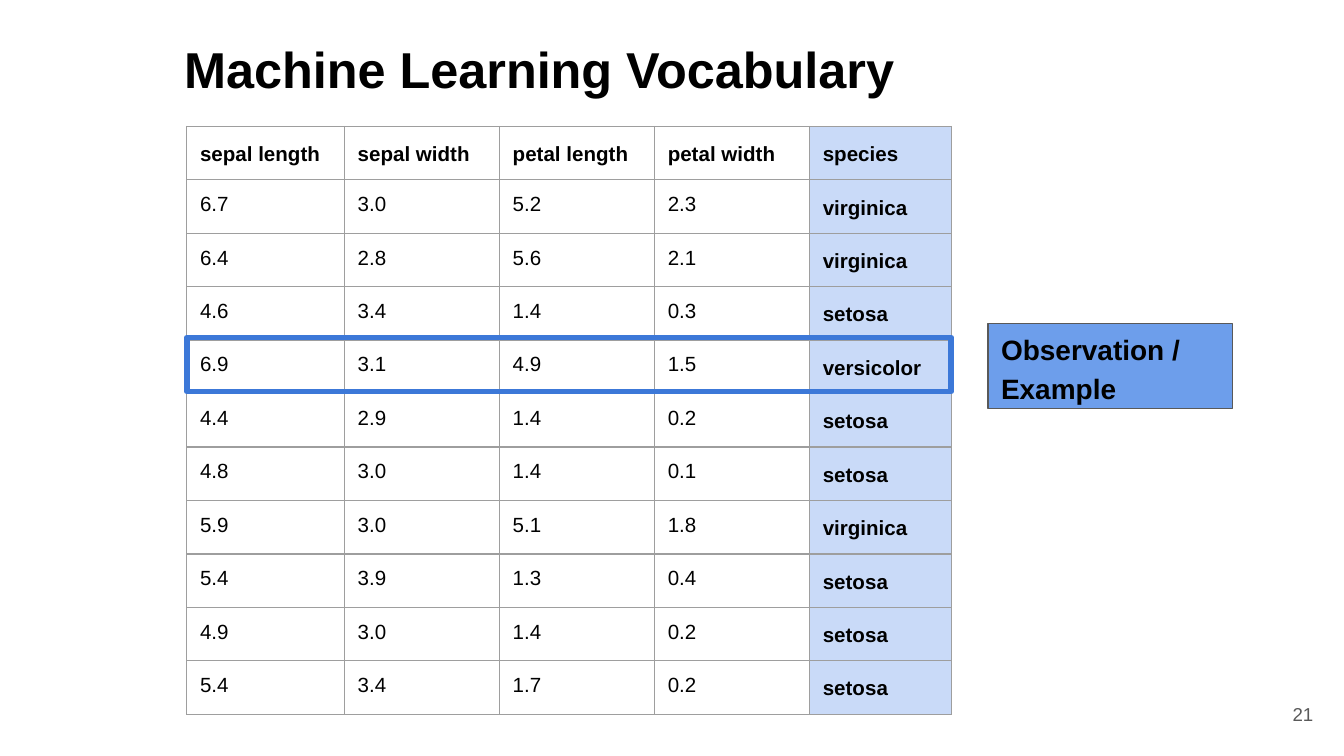
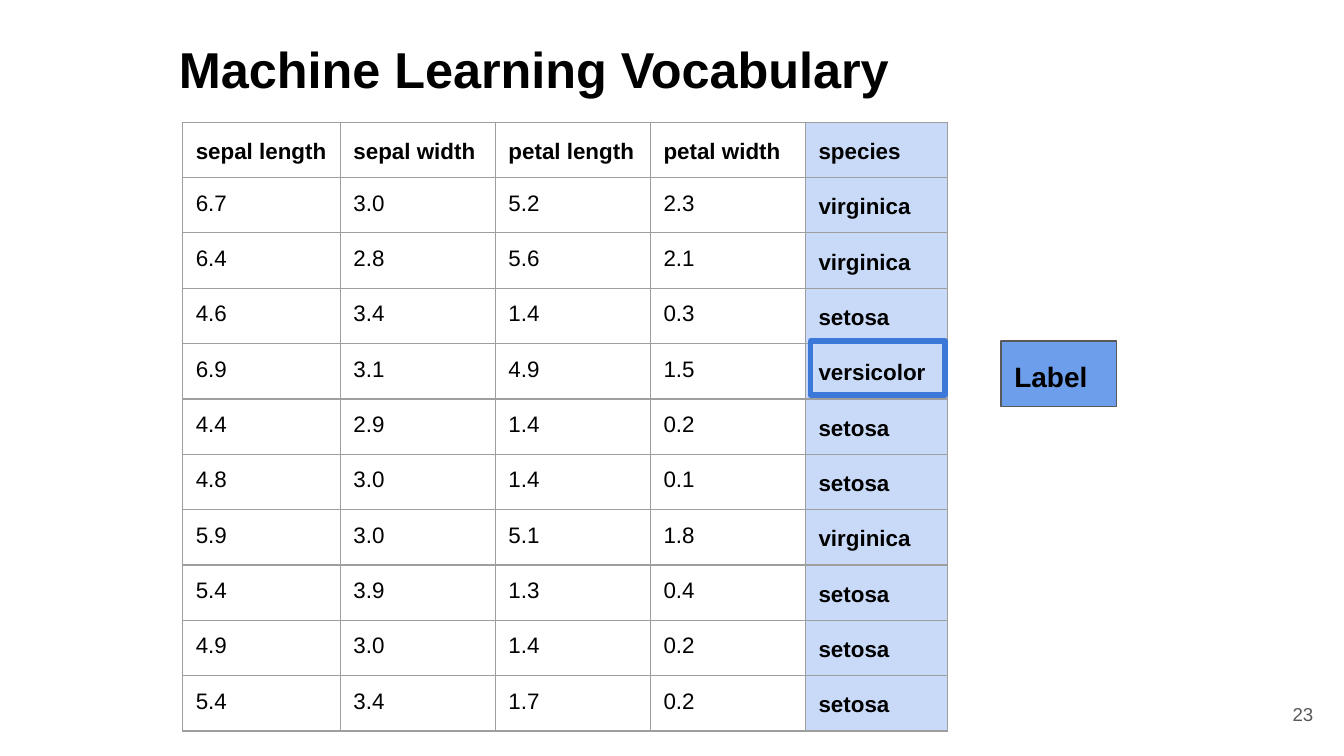
from dataclasses import dataclass

from lxml.etree import SubElement
from pptx import Presentation
from pptx.dml.color import RGBColor
from pptx.enum.shapes import MSO_SHAPE as Shape
from pptx.enum.text import MSO_ANCHOR as Anchor, MSO_AUTO_SIZE as AutoSize, PP_ALIGN as Align
from pptx.oxml.ns import qn
from pptx.util import Cm, Pt

FONT = "Arial"
COLORS = {
    "text": "000000",
    "grid": "9E9E9E",
    "species": "C9DAF8",
    "callout": "6D9EEB",
    "muted": "595959",
    "highlight": "3C78D8",
}
INSET = Cm(0.25)
COL_WIDTHS = (2.98, 2.93, 2.93, 2.93, 2.68)
HEADERS = ("sepal length", "sepal width", "petal length", "petal width", "species")
SAMPLES = (
    ("6.7", "3.0", "5.2", "2.3", "virginica"),
    ("6.4", "2.8", "5.6", "2.1", "virginica"),
    ("4.6", "3.4", "1.4", "0.3", "setosa"),
    ("6.9", "3.1", "4.9", "1.5", "versicolor"),
    ("4.4", "2.9", "1.4", "0.2", "setosa"),
    ("4.8", "3.0", "1.4", "0.1", "setosa"),
    ("5.9", "3.0", "5.1", "1.8", "virginica"),
    ("5.4", "3.9", "1.3", "0.4", "setosa"),
    ("4.9", "3.0", "1.4", "0.2", "setosa"),
    ("5.4", "3.4", "1.7", "0.2", "setosa"),
)


@dataclass(frozen=True)
class Box:
    """Place and size in centimetres."""
    left: float
    top: float
    width: float
    height: float

    def lengths(self) -> tuple:
        return Cm(self.left), Cm(self.top), Cm(self.width), Cm(self.height)


@dataclass(frozen=True)
class VocabularySlide:
    term: str
    number: str
    title: Box
    table_left: float
    table_top: float
    row_height: float
    table_size: int
    callout: Box
    highlight: Box


SLIDES = (
    VocabularySlide("Observation / Example", "21", Box(3.23, 0.3, 21.51, 1.6),
                    3.53, 2.39, 1.01, 11,
                    Box(18.67, 6.12, 4.62, 1.6), Box(3.53, 6.38, 14.45, 1.02)),
    VocabularySlide("Label", "23", Box(3.13, 0.3, 21.61, 1.6),
                    3.45, 2.31, 1.04, 12,
                    Box(18.92, 6.45, 2.18, 1.24), Box(15.32, 6.45, 2.54, 1.02)),
)
NUMBER_BOX = Box(23.55, 12.95, 1.52, 1.09)


def rgb(name: str) -> RGBColor:
    return RGBColor.from_string(COLORS[name])


def write(tf, text: str, size: float, bold: bool = False, color: str = "text",
          spaced: bool = False, align=Align.LEFT) -> None:
    p = tf.paragraphs[0]
    p.add_run().text = text
    p.alignment = align
    p.line_spacing = 1.15 if spaced else 1.0
    p.space_before, p.space_after = Pt(0), Pt(5 if spaced else 0)
    font = p.font
    font.name, font.size, font.bold = FONT, Pt(size), bold
    font.color.rgb = rgb(color)


def set_insets(holder) -> None:
    holder.margin_left = holder.margin_right = INSET
    holder.margin_top = holder.margin_bottom = INSET


def prepare_frame(tf, anchor) -> None:
    set_insets(tf)
    tf.word_wrap = True
    tf.auto_size = AutoSize.NONE
    tf.vertical_anchor = anchor


def add_title(s, box: Box) -> None:
    sp = s.shapes.title
    sp.left, sp.top, sp.width, sp.height = box.lengths()
    prepare_frame(sp.text_frame, Anchor.TOP)
    write(sp.text_frame, "Machine Learning Vocabulary", 27, bold=True, spaced=True)


def add_borders(cell) -> None:
    tc_pr = cell._tc.get_or_add_tcPr()
    for side in ("lnL", "lnR", "lnT", "lnB"):
        ln = SubElement(tc_pr, qn(f"a:{side}"), w=str(Pt(0.75)))
        fill = SubElement(ln, qn("a:solidFill"))
        SubElement(fill, qn("a:srgbClr"), val=COLORS["grid"])


def add_iris_table(s, spec_slide: VocabularySlide) -> None:
    rows = (HEADERS, *SAMPLES)
    box = Box(spec_slide.table_left, spec_slide.table_top,
              sum(COL_WIDTHS), spec_slide.row_height * len(rows))
    table = s.shapes.add_table(len(rows), len(HEADERS), *box.lengths()).table
    table.first_row = table.horz_banding = False
    for column, width in zip(table.columns, COL_WIDTHS):
        column.width = Cm(width)
    for i, values in enumerate(rows):
        table.rows[i].height = Cm(spec_slide.row_height)
        for j, value in enumerate(values):
            cell = table.cell(i, j)
            is_species = j == len(HEADERS) - 1
            strong = i == 0 or is_species
            set_insets(cell)
            add_borders(cell)
            if is_species:
                cell.fill.solid()
                cell.fill.fore_color.rgb = rgb("species")
            else:
                cell.fill.background()
            write(cell.text_frame, value, spec_slide.table_size, bold=strong, spaced=strong)


def add_rectangle(s, box: Box, line: str, line_width: float):
    sp = s.shapes.add_shape(Shape.RECTANGLE, *box.lengths())
    sp.shadow.inherit = False
    sp.line.color.rgb = rgb(line)
    sp.line.width = Pt(line_width)
    SubElement(sp.line._get_or_add_ln(), qn("a:round"))
    return sp


def add_callout(s, box: Box, term: str) -> None:
    sp = add_rectangle(s, box, "muted", 0.75)
    sp.fill.solid()
    sp.fill.fore_color.rgb = rgb("callout")
    prepare_frame(sp.text_frame, Anchor.MIDDLE)
    write(sp.text_frame, term, 15, bold=True, spaced=True)


def add_highlight(s, box: Box) -> None:
    add_rectangle(s, box, "highlight", 3).fill.background()


def add_number(s, number: str) -> None:
    tf = s.shapes.add_textbox(*NUMBER_BOX.lengths()).text_frame
    prepare_frame(tf, Anchor.MIDDLE)
    write(tf, number, 10, color="muted", align=Align.RIGHT)


def main() -> None:
    prs = Presentation()
    prs.slide_width, prs.slide_height = Cm(25.4), Cm(14.29)
    title_only = prs.slide_layouts[5]
    for content in SLIDES:
        s = prs.slides.add_slide(title_only)
        add_title(s, content.title)
        add_iris_table(s, content)
        add_callout(s, content.callout, content.term)
        add_highlight(s, content.highlight)
        add_number(s, content.number)
    prs.save("out.pptx")


if __name__ == "__main__":
    main()
